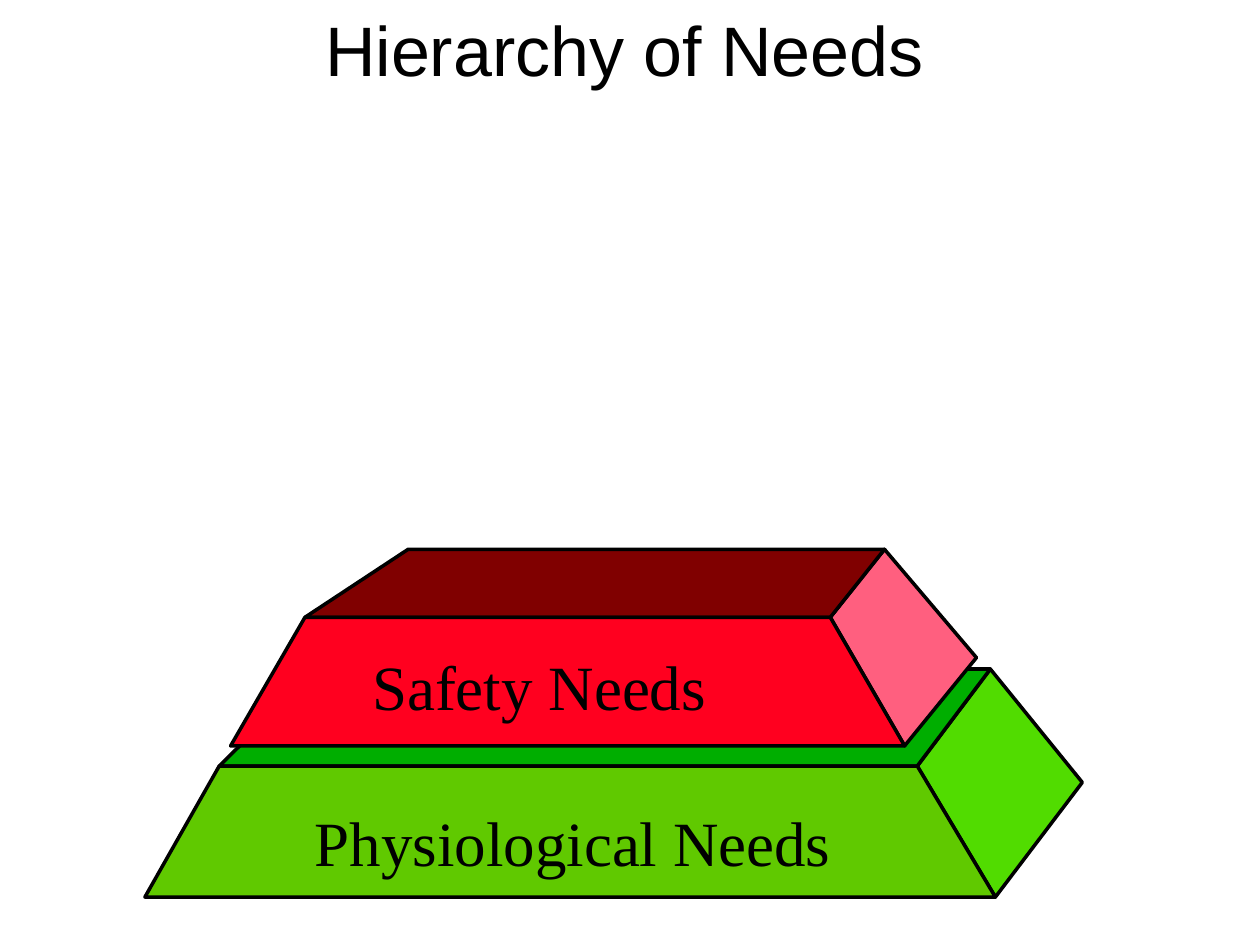
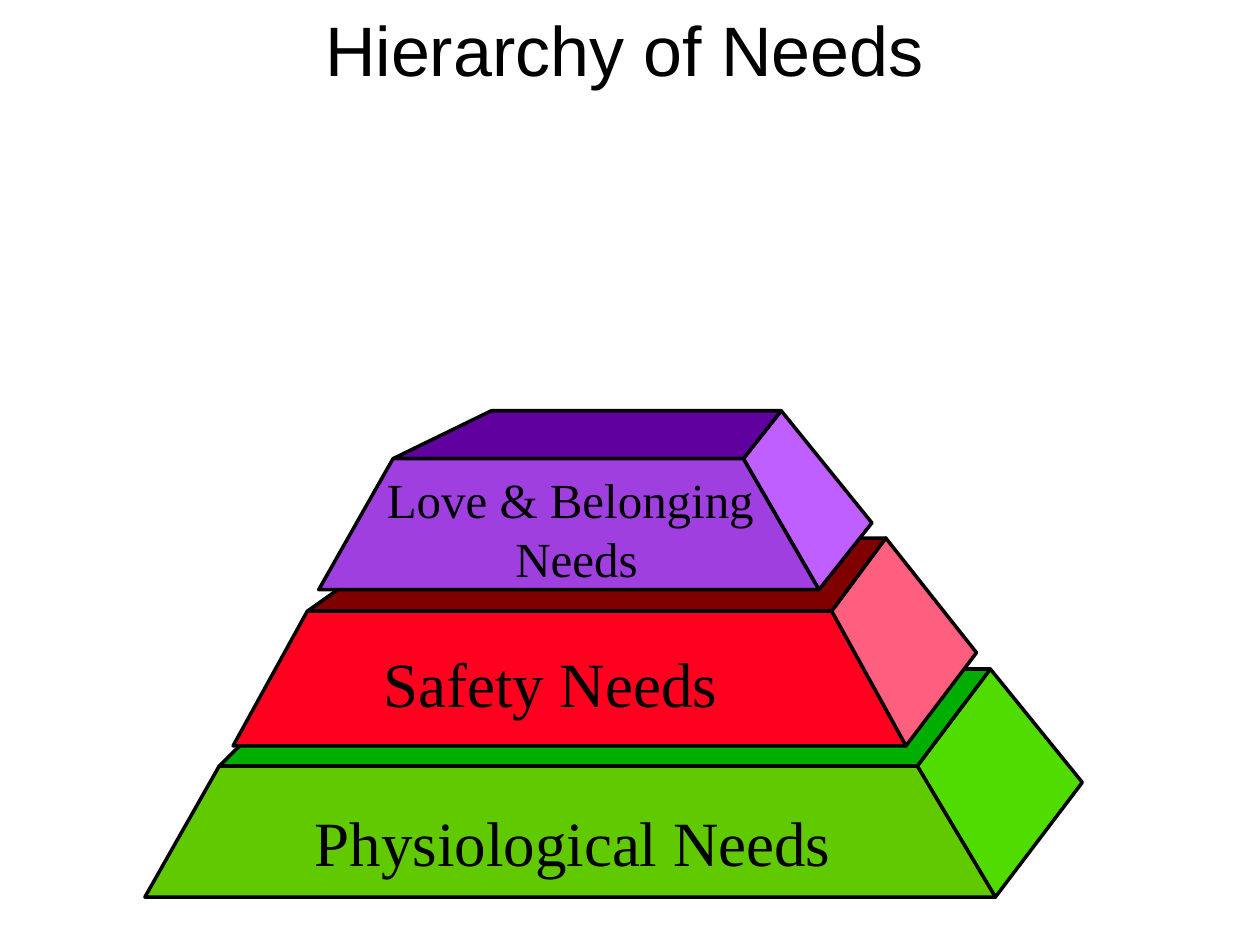
from pptx import Presentation
from pptx.dml.color import RGBColor
from pptx.enum.text import MSO_ANCHOR as Anchor, MSO_AUTO_SIZE as AutoSize, PP_ALIGN as Align
from pptx.util import Inches, Pt

COLORS = {
    "ink": "000000",
    "green_front": "60C900", "green_top": "00AE00", "green_side": "51DC00",
    "red_front": "FF001F", "red_top": "800000", "red_side": "FF5F7F",
    "purple_front": "9F3FDF", "purple_top": "5F009F", "purple_side": "BF5FFF",
}
TITLE = "Hierarchy of Needs"

# Corners of each tier: front face, back edge of the top, outer tip of the side
GREEN_TIER = dict(bottom_left=(1.15, 7.12), bottom_right=(7.9, 7.12),
                  top_left=(1.74, 6.08), top_right=(7.28, 6.08),
                  back_left=(2.52, 5.31), back_right=(7.86, 5.31), tip=(8.59, 6.21))
RED_TIER_LOW = dict(bottom_left=(1.83, 5.92), bottom_right=(7.18, 5.92),
                    top_left=(2.42, 4.9), top_right=(6.59, 4.9),
                    back_left=(3.24, 4.36), back_right=(7.02, 4.36), tip=(7.75, 5.22))
RED_TIER_HIGH = dict(bottom_left=(1.85, 5.92), bottom_right=(7.19, 5.92),
                     top_left=(2.44, 4.85), top_right=(6.6, 4.85),
                     back_left=(3.26, 4.27), back_right=(7.03, 4.27), tip=(7.75, 5.18))
PURPLE_TIER = dict(bottom_left=(2.53, 4.68), bottom_right=(6.5, 4.68),
                   top_left=(3.12, 3.64), top_right=(5.9, 3.64),
                   back_left=(3.9, 3.26), back_right=(6.2, 3.26), tip=(6.92, 4.15))

# Faces from back to front
FACES = {
    "side": ("bottom_right", "top_right", "back_right", "tip"),
    "top": ("top_left", "top_right", "back_right", "back_left"),
    "front": ("top_left", "top_right", "bottom_right", "bottom_left"),
}


def color(name):
    return RGBColor.from_string(COLORS[name])


def write(tf, text, *, size, font, align=Align.CENTER, wrap=True,
          auto_size=AutoSize.SHAPE_TO_FIT_TEXT):
    """Fill a text frame, one paragraph per line of text."""
    tf.word_wrap = wrap
    tf.auto_size = auto_size
    tf.vertical_anchor = Anchor.TOP
    for i, line in enumerate(text.split("\n")):
        p = tf.paragraphs[0] if i == 0 else tf.add_paragraph()
        p.alignment = align
        r = p.add_run()
        r.text = line
        r.font.size = Pt(size)
        r.font.name = font
        r.font.color.rgb = color("ink")


class Deck:
    title_font, label_font = "Arial", "Times New Roman"
    line_width = Pt(2)

    def __init__(self):
        self.prs = Presentation()
        self.prs.slide_width, self.prs.slide_height = Inches(10), Inches(7.5)
        self.s = None

    def slide(self, title):
        self.s = self.prs.slides.add_slide(self.prs.slide_layouts[5])
        sp = self.s.shapes.title
        sp.left, sp.top, sp.width, sp.height = map(Inches, (0, 0, 9.91, 0.76))
        write(sp.text_frame, title, size=40, font=self.title_font,
              auto_size=AutoSize.NONE)

    def face(self, shapes, points, fill):
        start, *rest = [(Inches(x), Inches(y)) for x, y in points]
        builder = shapes.build_freeform(*start)
        builder.add_line_segments(rest, close=True)
        sp = builder.convert_to_shape()
        sp.shadow.inherit = False
        sp.fill.solid()
        sp.fill.fore_color.rgb = color(fill)
        sp.line.color.rgb = color("ink")
        sp.line.width = self.line_width

    def tier(self, hue, corners, grouped=True):
        shapes = self.s.shapes.add_group_shape().shapes if grouped else self.s.shapes
        for face, names in FACES.items():
            self.face(shapes, [corners[n] for n in names], f"{hue}_{face}")

    def label(self, text, left, top, width, height, size=36, **text_format):
        sp = self.s.shapes.add_textbox(*map(Inches, (left, top, width, height)))
        write(sp.text_frame, text, size=size, font=self.label_font, **text_format)

    def base(self):
        """The lowest tier, shared by all slides."""
        self.tier("green", GREEN_TIER, grouped=False)
        self.label("Physiological Needs", 2.4, 6.33, 4.3, 0.7,
                   align=Align.LEFT, wrap=False)


def main():
    deck = Deck()

    # Slide 1: two tiers
    deck.slide(TITLE)
    deck.base()
    deck.tier("red", RED_TIER_LOW)
    deck.label("Safety Needs", 1.98, 5.09, 4.6, 0.7)

    # Slide 2: three tiers
    deck.slide(TITLE)
    deck.base()
    deck.tier("red", RED_TIER_HIGH)
    deck.tier("purple", PURPLE_TIER)
    deck.label("Love & Belonging \nNeeds", 2.97, 3.68, 3.21, 1.03, size=28, wrap=False)
    deck.label("Safety Needs", 2.07, 5.07, 4.6, 0.7)

    deck.prs.save("out.pptx")


if __name__ == "__main__":
    main()
